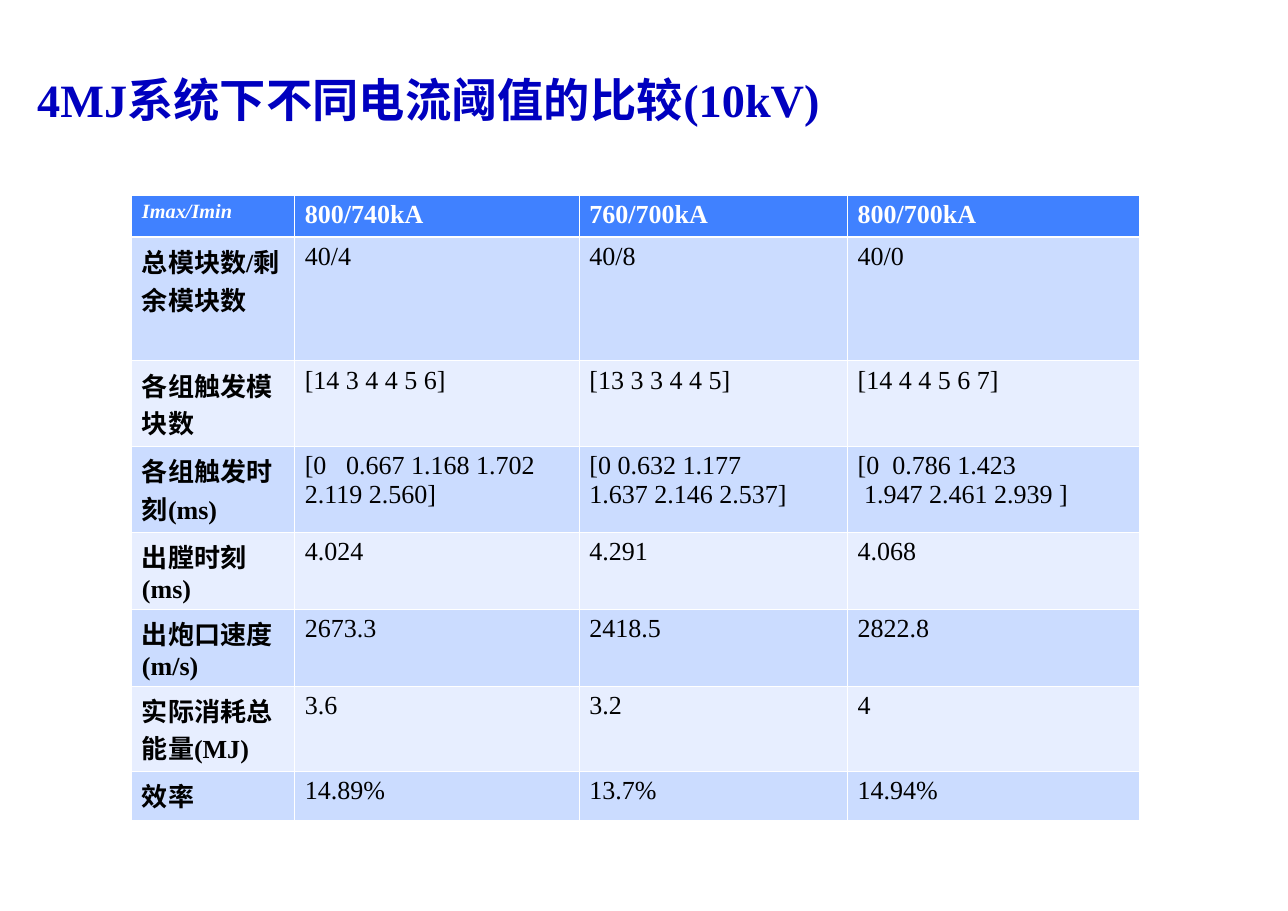
from lxml.etree import SubElement
from pptx import Presentation
from pptx.dml.color import RGBColor
from pptx.enum.lang import MSO_LANGUAGE_ID
from pptx.enum.text import MSO_ANCHOR, MSO_AUTO_SIZE, PP_ALIGN
from pptx.oxml.ns import qn
from pptx.util import Pt

WHITE = RGBColor(0xFF, 0xFF, 0xFF)
BLACK = RGBColor(0x00, 0x00, 0x00)
TITLE_BLUE = RGBColor(0x00, 0x00, 0xBF)
HEADER_BLUE = RGBColor(0x40, 0x81, 0xFF)
BAND_DARK = RGBColor(0xCB, 0xDC, 0xFF)
BAND_LIGHT = RGBColor(0xE7, 0xEE, 0xFF)

TITLE = "4MJ系统下不同电流阈值的比较(10kV)"
TITLE_BOX = (12.3, 45.4, 568, 84.2)
COLUMN_WIDTHS = (112.6, 196.8, 185.5, 202.3)
ROW_HEIGHTS = (28.8, 85.6, 59.3, 59.3, 53.2, 53.2, 59.2, 33.7)
TABLE_BOX = (91, 135, sum(COLUMN_WIDTHS), sum(ROW_HEIGHTS))
THRESHOLD_ROWS = [
    ("Imax/Imin", "800/740kA", "760/700kA", "800/700kA"),
    ("总模块数/剩余模块数", "40/4", "40/8", "40/0"),
    ("各组触发模块数", "[14 3 4 4 5 6]", "[13 3 3 4 4 5]", "[14 4 4 5 6 7]"),
    ("各组触发时刻(ms)", "[0\t0.667 1.168 1.702 2.119 2.560]",
     "[0 0.632 1.177\n1.637 2.146 2.537]",
     "[0\t0.786 1.423\n1.947 2.461 2.939 ]"),
    ("出膛时刻(ms)", "4.024", "4.291", "4.068"),
    ("出炮口速度(m/s)", "2673.3", "2418.5", "2822.8"),
    ("实际消耗总能量(MJ)", "3.6", "3.2", "4"),
    ("效率", "14.89%", "13.7%", "14.94%"),
]
# Points from the left edge of the cell text
TAB_STOPS = {"[0\t0.667 1.168 1.702 2.119 2.560]": 28.5, "[0\t0.786 1.423": 24}
INDENTS = {"1.947 2.461 2.939 ]": 4.5}


def style_font(font, size, color, bold=True, italic=False):
    font.color.rgb = color
    formats = {"name": "Times New Roman", "size": Pt(size), "bold": bold,
               "italic": italic, "language_id": MSO_LANGUAGE_ID.SIMPLIFIED_CHINESE}
    for name, value in formats.items():
        setattr(font, name, value)


def add_title(page, box):
    title = page.shapes.title
    title.left, title.top, title.width, title.height = map(Pt, box)
    frame = title.text_frame
    frame_formats = {"word_wrap": True, "vertical_anchor": MSO_ANCHOR.TOP,
                     "auto_size": MSO_AUTO_SIZE.SHAPE_TO_FIT_TEXT}
    for name, value in frame_formats.items():
        setattr(frame, name, value)
    para = frame.paragraphs[0]
    para.alignment = PP_ALIGN.CENTER
    span = para.add_run()
    span.text = TITLE
    style_font(span.font, 32, TITLE_BLUE)


def set_borders(cell, widths):
    properties = cell._tc.get_or_add_tcPr()
    for side, width in widths.items():
        line = SubElement(properties, qn(f"a:ln{side}"), w=str(Pt(width)))
        fill = SubElement(line, qn("a:solidFill"))
        SubElement(fill, qn("a:srgbClr"), val=str(WHITE))


def fill_cell(cell, text, font_formats):
    frame = cell.text_frame
    for index, line in enumerate(text.split("\n")):
        para = frame.add_paragraph() if index else frame.paragraphs[0]
        properties = para._p.get_or_add_pPr()
        if line in TAB_STOPS:
            stops = SubElement(properties, qn("a:tabLst"))
            SubElement(stops, qn("a:tab"), pos=str(Pt(TAB_STOPS[line])), algn="l")
        if line in INDENTS:
            properties.set("marL", str(Pt(INDENTS[line])))
        span = para.add_run()
        span.text = line
        style_font(span.font, **font_formats)


def add_threshold_table(page, box):
    table = page.shapes.add_table(len(THRESHOLD_ROWS), len(COLUMN_WIDTHS),
                                  *map(Pt, box)).table
    for column, width in zip(table.columns, COLUMN_WIDTHS):
        column.width = Pt(width)
    for row, height in zip(table.rows, ROW_HEIGHTS):
        row.height = Pt(height)

    for row, texts in enumerate(THRESHOLD_ROWS):
        header = row == 0
        band = HEADER_BLUE if header else BAND_DARK if row % 2 else BAND_LIGHT
        for column, text in enumerate(texts):
            label = column == 0
            cell = table.cell(row, column)
            # Heavier rule between header and body
            set_borders(cell, {"L": 0.45, "R": 0.45,
                               "T": 1.5 if row == 1 else 0.45,
                               "B": 1.5 if header else 0.45})
            cell.fill.solid()
            cell.fill.fore_color.rgb = band
            fill_cell(cell, text, {"size": 14 if header and label else 18,
                                   "color": WHITE if header else BLACK,
                                   "bold": header or label,
                                   "italic": header and label})


def main():
    deck = Presentation()
    deck.slide_width, deck.slide_height = Pt(890.64), Pt(630)
    page = deck.slides.add_slide(deck.slide_layouts.get_by_name("Title Only"))
    add_threshold_table(page, TABLE_BOX)
    add_title(page, TITLE_BOX)
    deck.save("out.pptx")


if __name__ == "__main__":
    main()
